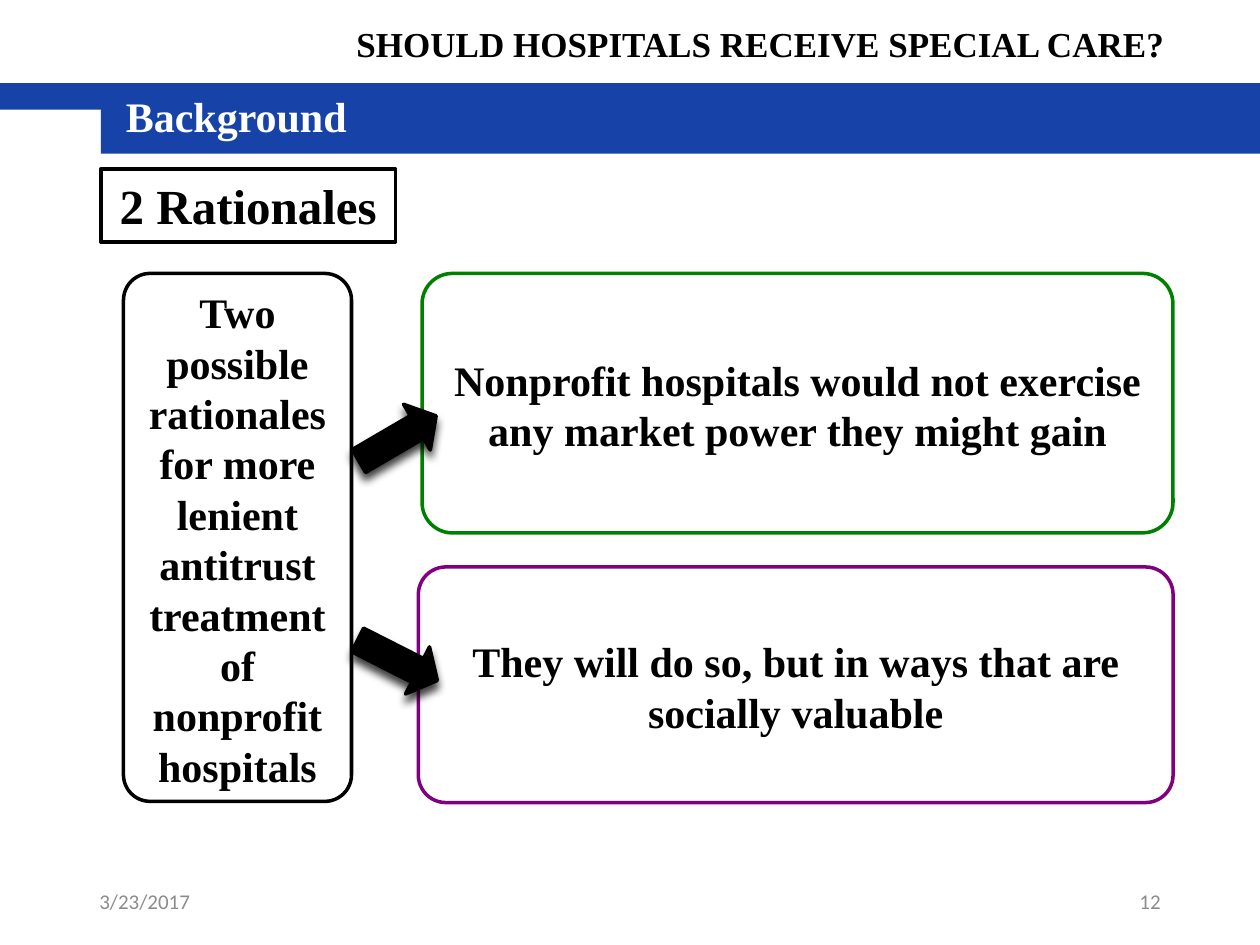
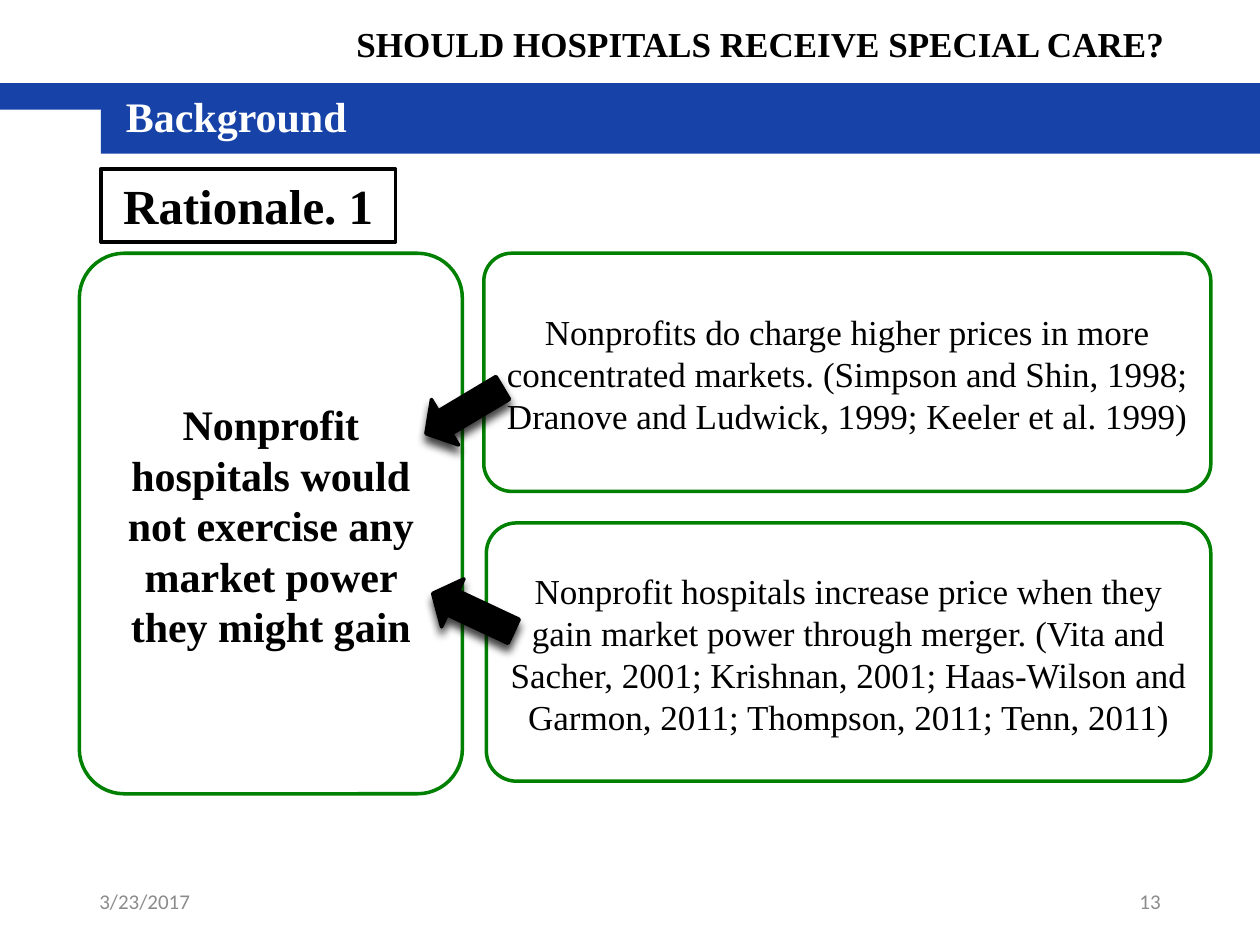
from dataclasses import dataclass

from lxml import etree
from pptx import Presentation
from pptx.dml.color import RGBColor
from pptx.enum.shapes import MSO_SHAPE
from pptx.enum.text import MSO_ANCHOR, PP_ALIGN
from pptx.oxml.ns import qn
from pptx.util import Pt

RECT, ROUND, ARROW = MSO_SHAPE.RECTANGLE, MSO_SHAPE.ROUNDED_RECTANGLE, MSO_SHAPE.RIGHT_ARROW
TOP, MIDDLE = MSO_ANCHOR.TOP, MSO_ANCHOR.MIDDLE
LEFT, CENTER, RIGHT = PP_ALIGN.LEFT, PP_ALIGN.CENTER, PP_ALIGN.RIGHT

BLACK, WHITE, BLUE, GREEN, PURPLE, GRAY = "000000", "FFFFFF", "1743A9", "008000", "800080", "8C8C8C"
SERIF, SANS = "Times New Roman", "Calibri"
ARROW_SIZE = (51.12, 30.24)

Bounds = tuple[float, float, float, float]


@dataclass(frozen=True)
class TextStyle:
    """Look and placement of a text."""
    size: float
    bold: bool = True
    color: str = BLACK
    font: str = SERIF
    align: PP_ALIGN = CENTER
    anchor: MSO_ANCHOR = MIDDLE


@dataclass(frozen=True)
class Card:
    """A rounded box with one statement."""
    text: str
    bounds: Bounds
    color: str
    style: TextStyle


@dataclass(frozen=True)
class Arrow:
    """A turned block arrow."""
    left: float
    top: float
    rotation: float


@dataclass(frozen=True)
class Page:
    """The content of one slide."""
    number: int
    label: str
    cards: list[Card]
    arrows: list[Arrow]


HEADER = TextStyle(20, align=LEFT, anchor=TOP)
SECTION = TextStyle(24, color=WHITE, align=LEFT, anchor=TOP)
LABEL = TextStyle(28, anchor=TOP)
CLAIM = TextStyle(24)
EVIDENCE = TextStyle(20, bold=False)
DATE = TextStyle(12, False, GRAY, SANS, LEFT)
NUMBER = TextStyle(12, False, GRAY, SANS, RIGHT)

PAGES = [
    Page(12, "2 Rationales", [
        Card("Nonprofit hospitals would not exercise any market power they might gain",
             (241.2, 156.24, 429.12, 148.32), GREEN, CLAIM),
        Card("Two possible rationales for more lenient antitrust treatment of nonprofit hospitals",
             (70.56, 156.24, 130.32, 301.68), BLACK, CLAIM),
        Card("They will do so, but in ways that are socially valuable",
             (239.04, 324, 431.28, 134.64), PURPLE, CLAIM),
    ], [Arrow(201.6, 235.44, 329.7), Arrow(201.6, 362.16, 26.9)]),
    Page(13, "Rationale. 1", [
        Card("Nonprofit hospitals would not exercise any market power they might gain",
             (45.36, 144.72, 218.88, 308.88), GREEN, CLAIM),
        Card("Nonprofits do charge higher prices in more concentrated markets. (Simpson and Shin, "
             "1998; Dranove and Ludwick, 1999; Keeler et al. 1999)",
             (276.48, 144.72, 415.44, 136.08), GREEN, EVIDENCE),
        Card("Nonprofit hospitals increase price when they gain market power through merger. "
             "(Vita and Sacher, 2001; Krishnan, 2001; Haas-Wilson and Garmon, 2011; "
             "Thompson, 2011; Tenn, 2011)",
             (277.92, 298.8, 414, 147.6), GREEN, EVIDENCE),
    ], [Arrow(239.76, 219.6, 149.2), Arrow(244.8, 334.8, 205.1)]),
]


def rgb(value: str) -> RGBColor:
    """Turn a hex string into a colour."""
    return RGBColor.from_string(value)


def write(sp, text: str, style: TextStyle, top_inset: float = 3.6) -> None:
    """Put one styled paragraph into a shape."""
    tf = sp.text_frame
    tf.word_wrap = True
    tf.vertical_anchor = style.anchor
    tf.margin_top = Pt(top_inset)
    p = tf.paragraphs[0]
    p.text = text
    p.alignment = style.align
    p.font.name = style.font
    p.font.size = Pt(style.size)
    p.font.bold = style.bold
    p.font.color.rgb = rgb(style.color)


def add_text(s, text: str, bounds: Bounds, style: TextStyle) -> None:
    """Add a plain text box."""
    write(s.shapes.add_textbox(*map(Pt, bounds)), text, style)


def add_shape(s, kind: MSO_SHAPE, bounds: Bounds, fill: str, line: str | None = None):
    """Add a flat filled shape with an optional outline."""
    sp = s.shapes.add_shape(kind, *map(Pt, bounds))
    sp.shadow.inherit = False
    sp.fill.solid()
    sp.fill.fore_color.rgb = rgb(fill)
    if line:
        sp.line.color.rgb = rgb(line)
        sp.line.width = Pt(2)
    else:
        sp.line.fill.background()
    return sp


def add_card(s, card: Card) -> None:
    """Add a rounded statement box."""
    sp = add_shape(s, ROUND, card.bounds, WHITE, card.color)
    sp.adjustments[0] = 0.117
    write(sp, card.text, card.style, 5.04)


def add_arrow(s, arrow: Arrow) -> None:
    """Add a turned arrow with a soft shadow below it."""
    sp = add_shape(s, ARROW, (arrow.left, arrow.top, *ARROW_SIZE), BLACK, BLACK)
    sp.adjustments[1] = 0.42
    sp.rotation = arrow.rotation
    effects = sp._element.spPr.find(qn("a:effectLst"))
    shadow = etree.SubElement(effects, qn("a:outerShdw"), blurRad=str(Pt(5)), dist=str(Pt(4)),
                              dir="5400000", rotWithShape="0")
    color = etree.SubElement(shadow, qn("a:srgbClr"), val=BLACK)
    etree.SubElement(color, qn("a:alpha"), val="75000")


def add_frame(s, number: int) -> None:
    """Add the bands, headings and footer shared by all slides."""
    add_shape(s, RECT, (57.6, 56.88, 662.4, 30.96), BLUE)
    add_shape(s, RECT, (0, 47.52, 720, 15.12), BLUE)
    add_text(s, "3/23/2017", (49.68, 500.4, 162, 28.8), DATE)
    add_text(s, str(number), (508.32, 500.4, 162, 28.8), NUMBER)
    add_text(s, "SHOULD HOSPITALS RECEIVE SPECIAL CARE?", (196.56, 9.36, 586.8, 31.68), HEADER)
    add_text(s, "Background", (64.8, 48.24, 181.44, 36), SECTION)


def add_page(prs, page: Page) -> None:
    """Build one slide."""
    s = prs.slides.add_slide(prs.slide_layouts[6])
    add_frame(s, page.number)
    for card in page.cards:
        add_card(s, card)
    for arrow in page.arrows:
        add_arrow(s, arrow)
    write(add_shape(s, RECT, (57.6, 96.48, 168.48, 41.76), WHITE, BLACK), page.label, LABEL)


def main() -> None:
    """Build and save the presentation."""
    prs = Presentation()
    prs.slide_width, prs.slide_height = Pt(720), Pt(540)
    for page in PAGES:
        add_page(prs, page)
    prs.save("out.pptx")


if __name__ == "__main__":
    main()
